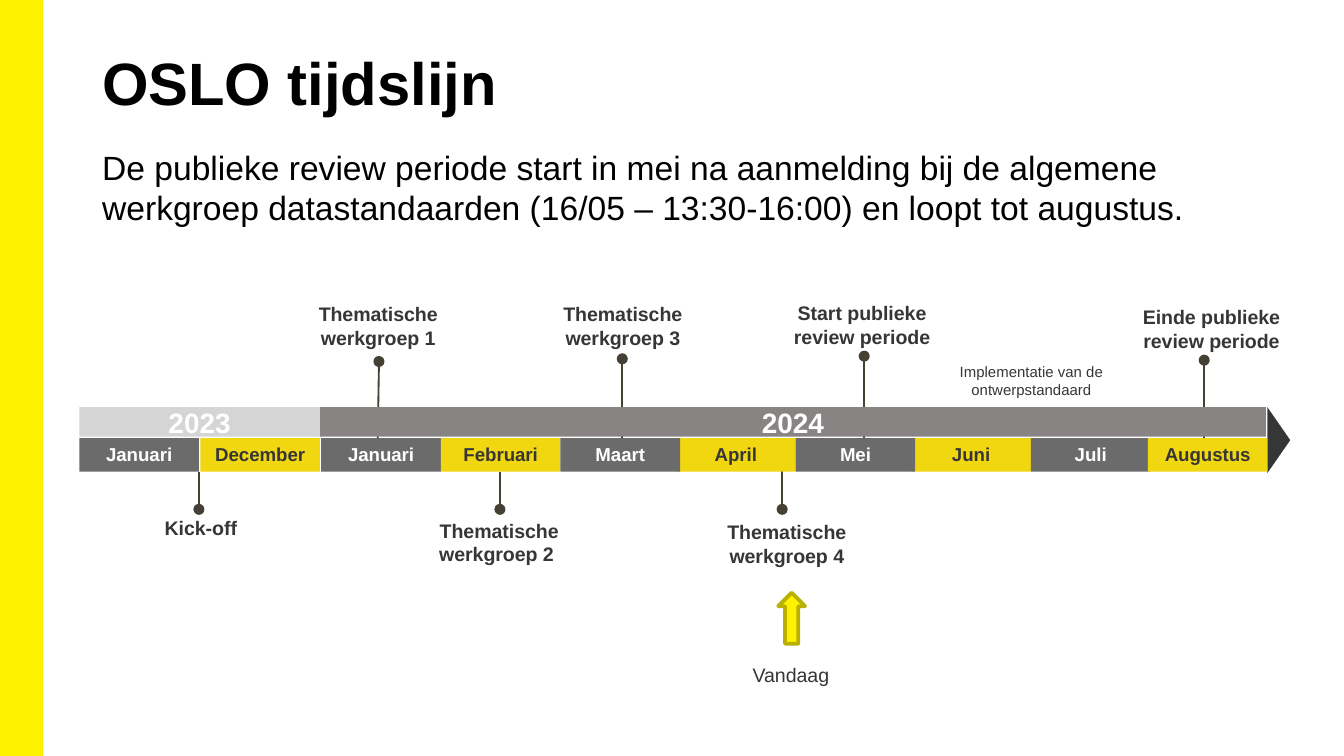
from pptx import Presentation
from pptx.dml.color import RGBColor
from pptx.enum.shapes import MSO_CONNECTOR, MSO_SHAPE
from pptx.enum.text import MSO_ANCHOR, PP_ALIGN
from pptx.oxml.ns import qn
from pptx.util import Inches, Pt
from lxml.etree import SubElement

COLORS = {
    "yellow": "FFF200",
    "olive": "BAB000",
    "gold": "F0D70F",
    "dark": "373636",
    "gray": "6B6B6B",
    "gray_2024": "888484",
    "gray_2023": "D5D5D5",
    "stem": "454034",
    "white": "FFFFFF",
    "black": "000000",
}
SLIDE_WIDTH = 10
SLIDE_HEIGHT = SLIDE_WIDTH * 9 / 16


def add_shape(kind, box, fill, line=None, line_width=1, rotation=0):
    shape = slide.shapes.add_shape(kind, *map(Inches, box))
    shape.shadow.inherit = False
    shape.rotation = rotation
    shape.fill.solid()
    shape.fill.fore_color.rgb = RGBColor.from_string(COLORS[fill])
    if line:
        shape.line.color.rgb = RGBColor.from_string(COLORS[line])
        shape.line.width = Pt(line_width)
    else:
        shape.line.fill.background()
    return shape


def write_text(shape, text, size=10.5, color="dark", bold=True, align=PP_ALIGN.CENTER,
               anchor=MSO_ANCHOR.TOP, insets=(0, 0, 0, 0)):
    frame = shape.text_frame
    frame.word_wrap = True
    frame.vertical_anchor = anchor
    frame.margin_left, frame.margin_top, frame.margin_right, frame.margin_bottom = map(Inches, insets)
    paragraph = frame.paragraphs[0]
    paragraph.alignment = align
    run = paragraph.add_run()
    run.text = text
    run.font.name = "Arial"
    run.font.size = Pt(size)
    run.font.bold = bold
    run.font.color.rgb = RGBColor.from_string(COLORS[color])


presentation = Presentation()
presentation.slide_width = Inches(SLIDE_WIDTH)
presentation.slide_height = Inches(SLIDE_HEIGHT)
slide = presentation.slides.add_slide(presentation.slide_layouts[6])

add_shape(MSO_SHAPE.RECTANGLE, (0, 0, 0.31, SLIDE_HEIGHT), "yellow", line="yellow")

stems = [
    (2.82, 2.69, 2.81, 3.3),
    (4.63, 2.67, 4.63, 3.27),
    (6.43, 2.65, 6.43, 3.3),
    (8.96, 2.68, 8.96, 3.43),
    (1.48, 3.79, 1.48, 3.51),
    (3.72, 3.79, 3.72, 3.51),
    (5.82, 3.79, 5.82, 3.37),
]
for stem in stems:
    connector = slide.shapes.add_connector(MSO_CONNECTOR.STRAIGHT, *map(Inches, stem))
    connector.line.color.rgb = RGBColor.from_string(COLORS["stem"])
    connector.line.width = Pt(1)
    SubElement(connector.line._get_or_add_ln(), qn("a:headEnd"), type="oval")
    SubElement(connector._element.spPr, qn("a:effectLst"))

headings = [
    ("OSLO tijdslijn", 0.3, 0.81, 32, True),
    ("De publieke review periode start in mei na aanmelding bij de algemene werkgroep "
     "datastandaarden (16/05 – 13:30-16:00) en loopt tot augustus.", 1.05, 1.07, 18, False),
]
for text, top, height, size, bold in headings:
    box = slide.shapes.add_textbox(*map(Inches, (0.69, top, 8.62, height)))
    write_text(box, text, size=size, color="black", bold=bold, align=PP_ALIGN.LEFT,
               insets=(0.07, 0.04, 0.07, 0.04))

add_shape(MSO_SHAPE.ISOSCELES_TRIANGLE, (9.27, 3.19, 0.49, 0.17), "dark", rotation=90)

years = [("2024", 2.38, 7.04, "gray_2024"), ("2023", 0.59, 1.79, "gray_2023")]
for text, left, width, fill in years:
    bar = add_shape(MSO_SHAPE.RECTANGLE, (left, 3.03, width, 0.22), fill)
    write_text(bar, text, size=15, color="white", anchor=MSO_ANCHOR.MIDDLE,
               insets=(0.1, 0.05, 0.1, 0.05))

months = [
    ("December", 1.49, "gold"),
    ("Januari", 2.39, "gray"),
    ("Februari", 3.28, "gold"),
    ("April", 5.03, "gold"),
    ("Juni", 6.78, "gold"),
    ("Juli", 7.67, "gray"),
    ("Augustus", 8.54, "gold"),
    ("Maart", 4.17, "gray"),
    ("Mei", 5.92, "gray"),
    ("Januari", 0.59, "gray"),
]
for text, left, fill in months:
    month = add_shape(MSO_SHAPE.RECTANGLE, (left, 3.26, 0.89, 0.25), fill)
    write_text(month, text, size=10, color="dark" if fill == "gold" else "white",
               anchor=MSO_ANCHOR.MIDDLE, insets=(0.08, 0.08, 0.08, 0.1))

milestones = [
    ("Thematische werkgroep 1", 2.21, 2.25, 0.38),
    ("Thematische werkgroep 3", 4.03, 2.25, 0.38),
    ("Start publieke review periode", 5.81, 2.24, 0.38),
    ("Einde publieke review periode", 8.41, 2.27, 0.42),
    ("Kick-off", 0.89, 3.84, 0.42),
    ("Thematische werkgroep 2 ", 3.11, 3.86, 0.42),
    ("Thematische werkgroep 4", 5.25, 3.87, 0.42),
]
for text, left, top, height in milestones:
    label = slide.shapes.add_textbox(*map(Inches, (left, top, 1.21, height)))
    write_text(label, text)

implementation = slide.shapes.add_textbox(*map(Inches, (7.01, 2.7, 1.33, 0.42)))
write_text(implementation, "Implementatie van de ontwerpstandaard", size=8, bold=False)

add_shape(MSO_SHAPE.DOWN_ARROW, (5.79, 4.41, 0.2, 0.38), "yellow", line="olive", line_width=2,
          rotation=180)
today = slide.shapes.add_textbox(*map(Inches, (5.28, 4.93, 1.21, 0.26)))
write_text(today, "Vandaag", bold=False)

presentation.save("out.pptx")
